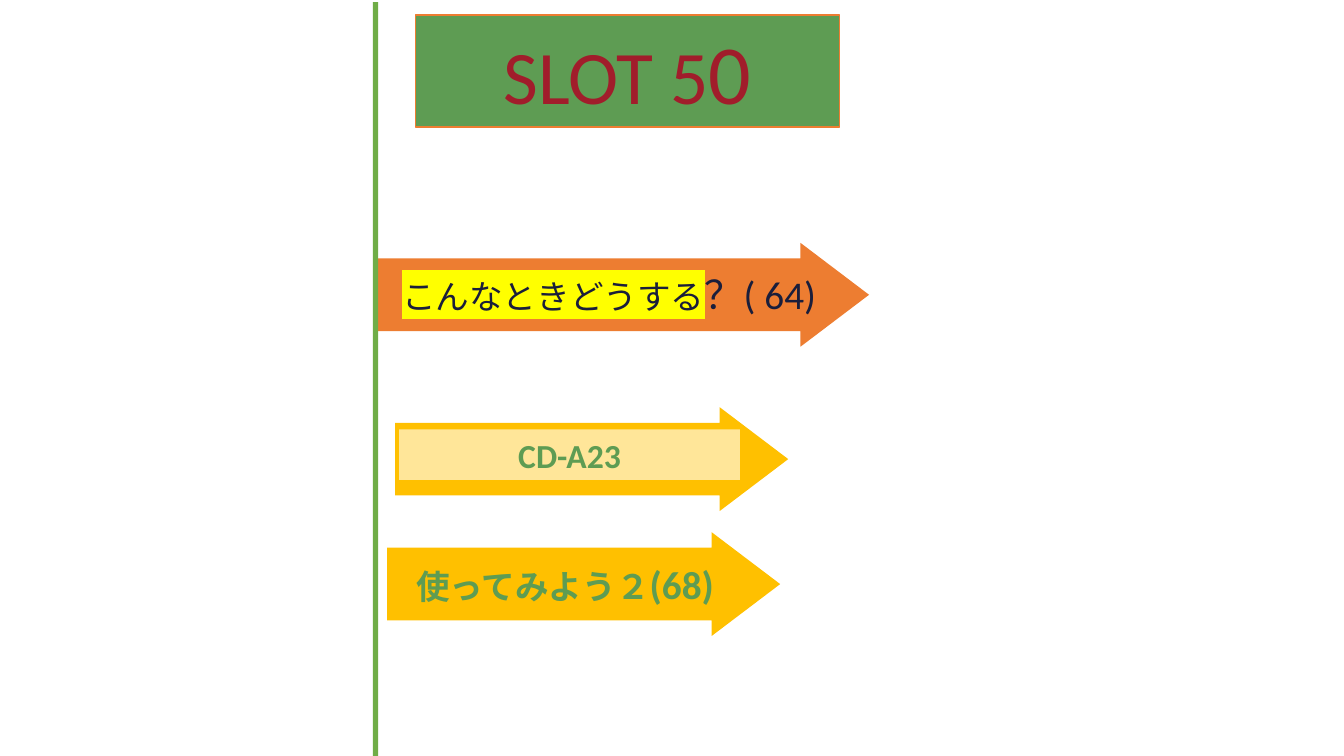
from dataclasses import dataclass

from lxml.etree import SubElement
from pptx import Presentation
from pptx.dml.color import RGBColor
from pptx.enum.shapes import MSO_SHAPE as Preset
from pptx.enum.text import MSO_ANCHOR as Anchor, MSO_AUTO_SIZE as AutoSize, PP_ALIGN as Align
from pptx.oxml.ns import qn
from pptx.util import Inches, Pt

WIDTH, HEIGHT = Inches(13.33), Inches(7.5)
FONT = "Calibri"
TITLE_ONLY = 5
COLOURS = {
    "green": "5E9C53", "bar": "70AD47", "orange": "ED7D31", "gold": "FFC000",
    "cream": "FFE699", "red": "A11D2B", "navy": "1A1E3B", "yellow": "FFFF00",
}


@dataclass(frozen=True)
class Area:
    """Left, top, width and height in percent of the slide."""
    left: float
    top: float
    width: float
    height: float

    def lengths(self) -> tuple[int, int, int, int]:
        return (int(WIDTH * self.left / 100), int(HEIGHT * self.top / 100),
                int(WIDTH * self.width / 100), int(HEIGHT * self.height / 100))


@dataclass(frozen=True)
class Block:
    area: Area
    fill: str
    preset: Preset = Preset.RECTANGLE


@dataclass(frozen=True)
class Piece:
    text: str
    size: int
    highlight: str = ""


@dataclass(frozen=True)
class Label:
    area: Area
    pieces: tuple[Piece, ...]
    colour: str
    bold: bool = False
    align: Align = Align.LEFT
    anchor: Anchor = Anchor.TOP


BLOCKS = [
    Block(Area(27.98, 32.13, 36.68, 13.73), "orange", Preset.RIGHT_ARROW),
    Block(Area(29.4, 53.87, 29.25, 13.73), "gold", Preset.RIGHT_ARROW),
    Block(Area(28.8, 70.4, 29.25, 13.73), "gold", Preset.RIGHT_ARROW),
    Block(Area(27.75, 0.27, 0.38, 99.73), "bar"),
    Block(Area(29.7, 56.8, 25.35, 6.67), "cream"),
]
TITLE = Label(Area(30.9, 2, 31.58, 14.8), (Piece("SLOT 5", 54), Piece("0", 60)),
              "red", align=Align.CENTER, anchor=Anchor.MIDDLE)
LABELS = [
    Label(Area(29.18, 35.07, 35.93, 7.6),
          (Piece("こんなときどうする", 24, "yellow"), Piece("？( 64)", 28)), "navy"),
    Label(BLOCKS[-1].area, (Piece("CD-A23", 24),), "green", True, Align.CENTER, Anchor.MIDDLE),
    Label(Area(30.23, 73.47, 33.83, 7.6),
          (Piece("使ってみよう２", 24), Piece("(68)", 28)), "green", True),
]


def colour(name: str) -> RGBColor:
    return RGBColor.from_string(COLOURS[name])


def add_block(page, block: Block) -> None:
    shape = page.shapes.add_shape(block.preset, *block.area.lengths())
    shape.shadow.inherit = False
    shape.fill.solid()
    shape.fill.fore_color.rgb = colour(block.fill)
    shape.line.fill.background()
    if block.preset == Preset.RIGHT_ARROW:
        shape.adjustments[0], shape.adjustments[1] = 0.7, 0.66


def highlight(span, name: str) -> None:
    properties = span.font._element
    mark = SubElement(properties, qn("a:highlight"))
    SubElement(mark, qn("a:srgbClr"), val=COLOURS[name])
    properties.find(qn("a:solidFill")).addnext(mark)


def write_label(box, label: Label) -> None:
    frame = box.text_frame
    frame.word_wrap = True
    frame.auto_size = AutoSize.NONE
    frame.vertical_anchor = label.anchor
    para = frame.paragraphs[0]
    para.alignment = label.align
    para.line_spacing = 1.0
    for piece in label.pieces:
        span = para.add_run()
        span.text = piece.text
        span.font.name = FONT
        span.font.size = Pt(piece.size)
        span.font.bold = label.bold
        span.font.color.rgb = colour(label.colour)
        if piece.highlight:
            highlight(span, piece.highlight)


def add_title(page) -> None:
    box = page.shapes.title
    box.left, box.top, box.width, box.height = TITLE.area.lengths()
    box.fill.solid()
    box.fill.fore_color.rgb = colour("green")
    box.line.color.rgb = colour("orange")
    box.line.width = Pt(1)
    write_label(box, TITLE)


def main() -> None:
    deck = Presentation()
    deck.slide_width, deck.slide_height = WIDTH, HEIGHT
    page = deck.slides.add_slide(deck.slide_layouts[TITLE_ONLY])

    # Heading
    add_title(page)

    # Arrows, vertical bar and label panel
    for block in BLOCKS:
        add_block(page, block)

    # Wording on the arrows
    for label in LABELS:
        write_label(page.shapes.add_textbox(*label.area.lengths()), label)

    deck.save("out.pptx")


if __name__ == "__main__":
    main()
